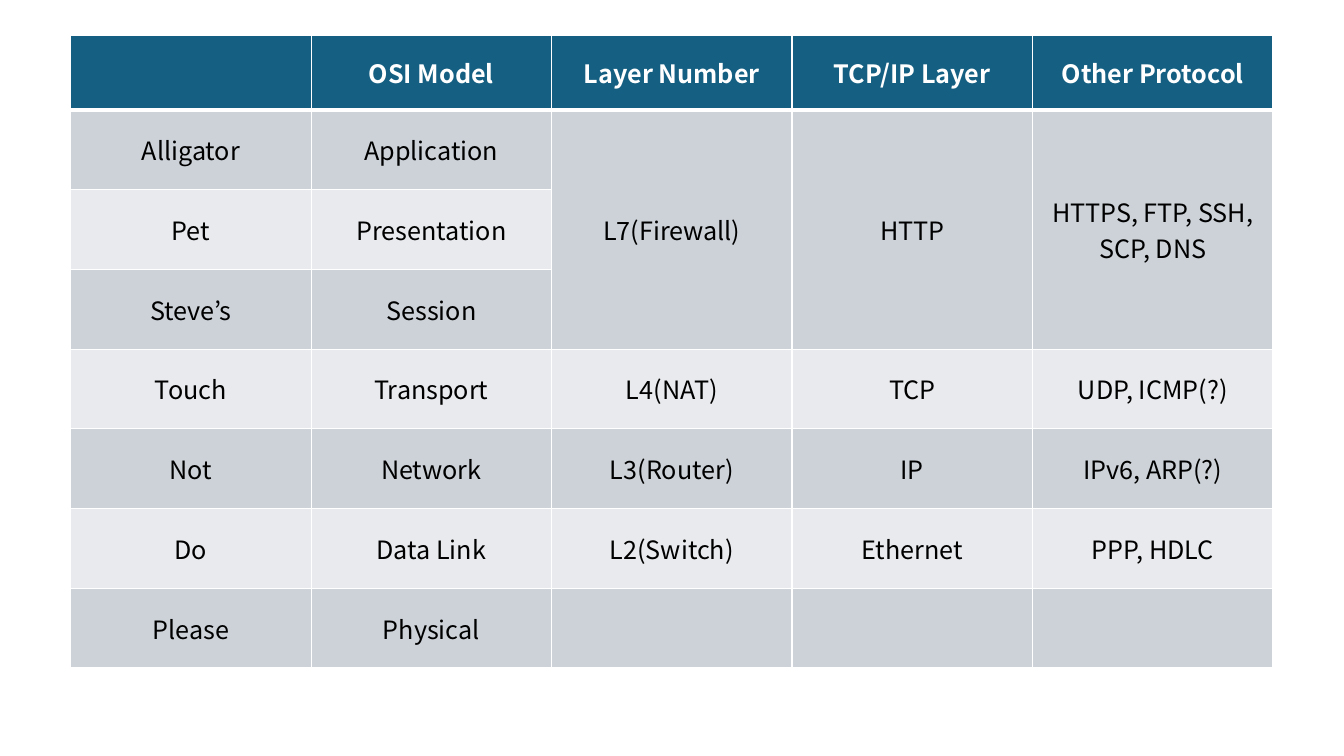
from dataclasses import dataclass

from lxml import etree
from pptx import Presentation
from pptx.dml.color import RGBColor
from pptx.enum.text import MSO_ANCHOR, PP_ALIGN
from pptx.oxml.ns import qn
from pptx.util import Cm, Pt

CENTER = PP_ALIGN.CENTER
MIDDLE = MSO_ANCHOR.MIDDLE
BLANK_LAYOUT = 6


@dataclass(frozen=True)
class Theme:
    font: str = "Noto Sans CJK KR"
    text_size: int = 18
    header_fill: str = "156082"
    header_text: str = "FFFFFF"
    body_text: str = "000000"
    band_fills: tuple = ("CCD2D8", "E8EAED")
    border: str = "FFFFFF"
    thin: int = 1
    thick: int = 3


THEME = Theme()

HEADER = ["", "OSI Model", "Layer Number", "TCP/IP Layer", "Other Protocol"]
LAYERS = [
    ["Alligator", "Application", "L7(Firewall)", "HTTP", "HTTPS, FTP, SSH, SCP, DNS"],
    ["Pet", "Presentation", "", "", ""],
    ["Steve’s", "Session", "", "", ""],
    ["Touch", "Transport", "L4(NAT)", "TCP", "UDP, ICMP(?)"],
    ["Not", "Network", "L3(Router)", "IP", "IPv6, ARP(?)"],
    ["Do", "Data Link", "L2(Switch)", "Ethernet", "PPP, HDLC"],
    ["Please", "Physical", "", "", ""],
]
# The top three layers share one cell in each of these columns
MERGED_ROWS = (1, 3)
MERGED_COLUMNS = (2, 3, 4)

TABLE_LEFT, TABLE_TOP = Cm(1.78), Cm(0.89)
COLUMN_WIDTH = Cm(6.06)
HEADER_HEIGHT, LAYER_HEIGHT = Cm(1.88), Cm(2.01)


def write_text(cell, text, *, color, bold=False):
    para = cell.text_frame.paragraphs[0]
    para.alignment = CENTER
    cell.vertical_anchor = MIDDLE
    if not text:
        return
    span = para.add_run()
    span.text = text
    span.font.size = Pt(THEME.text_size)
    span.font.bold = bold
    span.font.color.rgb = RGBColor.from_string(color)
    span.font.name = THEME.font
    east_asian = etree.SubElement(span.font._element, qn("a:ea"))
    east_asian.set("typeface", THEME.font)


def set_borders(cell, *, top, bottom):
    """Draw the four sides; their elements come before the cell's fill."""
    properties = cell._tc.get_or_add_tcPr()
    widths = {"a:lnL": THEME.thin, "a:lnR": THEME.thin, "a:lnT": top, "a:lnB": bottom}
    for position, (side, width) in enumerate(widths.items()):
        line = etree.Element(qn(side), w=str(Pt(width)))
        fill = etree.SubElement(line, qn("a:solidFill"))
        etree.SubElement(fill, qn("a:srgbClr"), val=THEME.border)
        properties.insert(position, line)


def format_cell(cell, text, row):
    is_header = row == 0
    fill = THEME.header_fill if is_header else THEME.band_fills[(row - 1) % 2]
    cell.fill.solid()
    cell.fill.fore_color.rgb = RGBColor.from_string(fill)
    set_borders(
        cell,
        top=THEME.thick if row == 1 else THEME.thin,
        bottom=THEME.thick if is_header else THEME.thin,
    )
    color = THEME.header_text if is_header else THEME.body_text
    write_text(cell, text, color=color, bold=is_header)


def add_layer_table(page):
    rows = [HEADER] + LAYERS
    height = HEADER_HEIGHT + LAYER_HEIGHT * len(LAYERS)
    table = page.shapes.add_table(
        len(rows), len(HEADER), TABLE_LEFT, TABLE_TOP, COLUMN_WIDTH * len(HEADER), height
    ).table

    # Sizes
    for column in table.columns:
        column.width = COLUMN_WIDTH
    for index, row in enumerate(table.rows):
        row.height = LAYER_HEIGHT if index else HEADER_HEIGHT

    # Contents
    for row, texts in enumerate(rows):
        for column, text in enumerate(texts):
            format_cell(table.cell(row, column), text, row)

    # Shared cells
    first, last = MERGED_ROWS
    for column in MERGED_COLUMNS:
        table.cell(first, column).merge(table.cell(last, column))


def main():
    deck = Presentation()
    deck.slide_width, deck.slide_height = Cm(33.87), Cm(19.05)
    page = deck.slides.add_slide(deck.slide_layouts[BLANK_LAYOUT])
    add_layer_table(page)
    deck.save("out.pptx")


if __name__ == "__main__":
    main()
